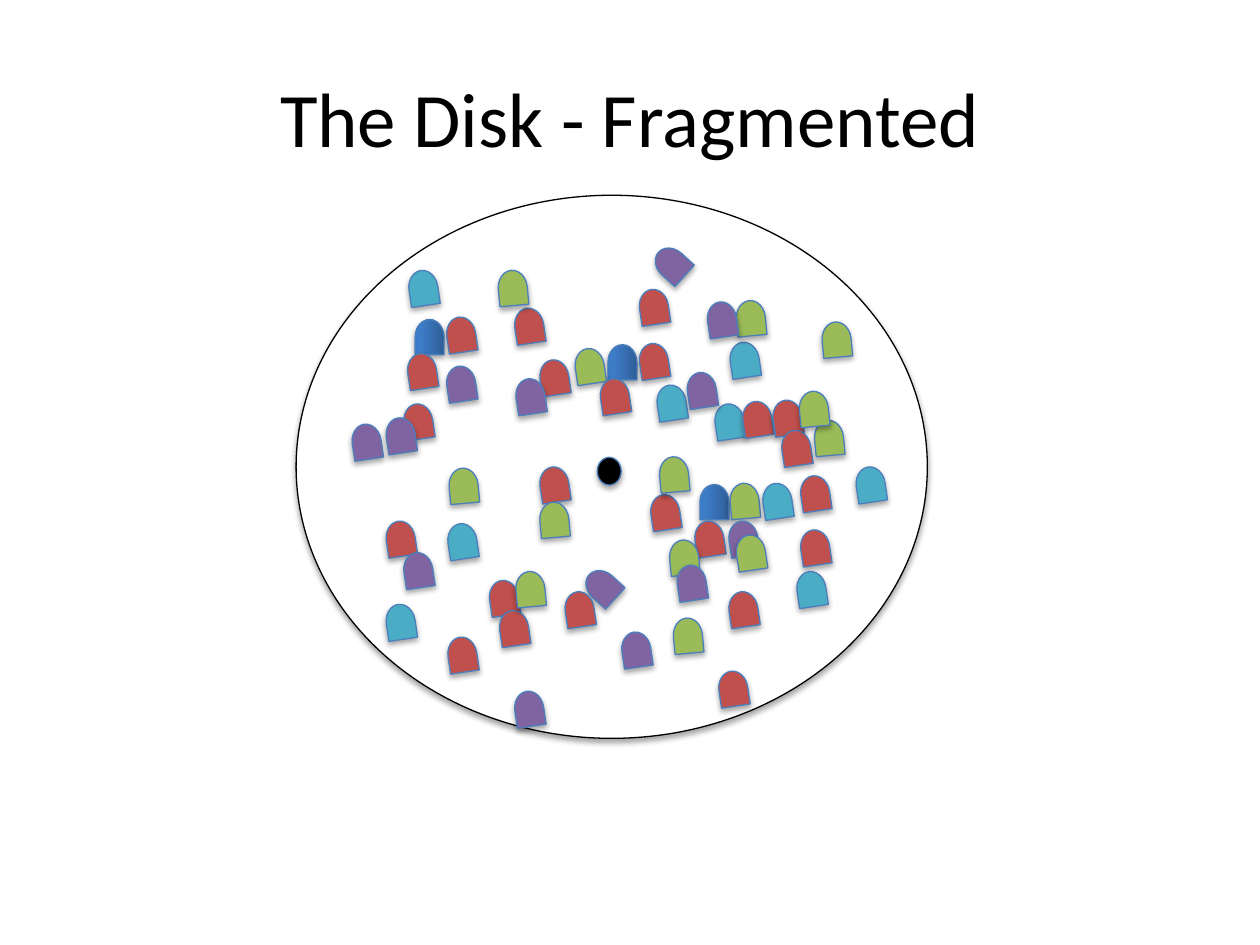
from lxml import etree
from pptx import Presentation
from pptx.dml.color import RGBColor
from pptx.enum.shapes import MSO_SHAPE
from pptx.enum.text import MSO_ANCHOR, PP_ALIGN
from pptx.oxml.ns import qn
from pptx.util import Inches, Pt

OVAL = MSO_SHAPE.OVAL
DELAY = MSO_SHAPE.FLOWCHART_DELAY
MIDDLE = MSO_ANCHOR.MIDDLE
CENTER = PP_ALIGN.CENTER

COLS, ROWS = 100, 75
CELL = Inches(0.1)
BLOCK_W, BLOCK_H = 2.8, 2.3
COLORS = {
    "white": "FFFFFF", "black": "000000", "edge": "4B7EBC",
    "red": "C0504D", "green": "9BBB59", "purple": "8064A2", "teal": "4BACC6",
}
BLUE_STOPS = {0: "2F5F99", 80: "3D7CC7", 100: "3A7CCB"}
UPRIGHT, LEAN, TILT, TURNED = 270, 264.7, 261.5, 222.3

BLOCKS = [
    ("blue", UPRIGHT, [(48, 27.6), (55.3, 38.7)]),
    ("green", TILT, [(45.4, 27.9)]),
    ("green", LEAN, [(57.7, 38.6)]),
    ("purple", TURNED, [(51.9, 19.8)]),
    ("purple", TILT, [(49.1, 50.4)]),
    ("teal", TILT, [(56.5, 32.3)]),
    ("red", TILT, [(35.3, 50.8), (38.6, 46.3), (39.4, 48.7), (40.6, 24.7),
                   (50.5, 23.2), (42.6, 37.3), (57.6, 47.2)]),
    ("green", LEAN, [(53.2, 49.3), (35.4, 37.4)]),
    ("teal", TILT, [(60.3, 38.6)]),
    ("red", TILT, [(31.8, 32.3), (42.6, 28.8), (47.4, 30.3), (54.9, 41.6),
                   (50.5, 27.5), (30.4, 41.6)]),
    ("green", LEAN, [(42.6, 40.1), (52.9, 43.1), (40.7, 45.6), (39.3, 21.7)]),
    ("teal", TILT, [(30.4, 48.2), (35.3, 41.8), (51.9, 30.8)]),
    ("purple", TILT, [(40.6, 55.1), (57.6, 41.6), (40.7, 30.3), (30.4, 33.4),
                      (31.8, 44.1)]),
    ("red", TILT, [(58.7, 32.1), (61.1, 32), (61.8, 34.4)]),
    ("green", LEAN, [(65, 25.8), (64.4, 33.6), (63.2, 31.3)]),
    ("teal", TILT, [(57.7, 27.4)]),
    ("purple", TILT, [(54.3, 29.8)]),
    ("green", TILT, [(58.2, 42.7)]),
    ("purple", TURNED, [(46.4, 45.4)]),
    ("red", TILT, [(51.4, 39.5), (63.3, 38), (44.6, 47.2), (56.8, 53.5),
                   (63.3, 42.3)]),
    ("green", LEAN, [(52.1, 36.5)]),
    ("teal", TILT, [(63, 45.6), (67.7, 37.3)]),
    ("purple", TILT, [(53.5, 45.1), (35.2, 29.3), (27.7, 33.9)]),
    ("green", LEAN, [(58.2, 24.1)]),
    ("purple", TILT, [(55.9, 24.2)]),
    ("teal", TILT, [(32.2, 21.7)]),
    ("blue", UPRIGHT, [(32.7, 25.6)]),
    ("red", TILT, [(32.1, 28.3), (35.2, 25.4)]),
]


def rgb(name):
    return RGBColor.from_string(COLORS[name])


def grid(*lengths):
    return [int(n * CELL) for n in lengths]


def add_color(parent, value):
    return etree.SubElement(parent, qn("a:srgbClr"), val=value)


def add_shadow(sp):
    sp.shadow.inherit = False
    effects = sp._element.spPr.find(qn("a:effectLst"))
    outer = etree.SubElement(effects, qn("a:outerShdw"), blurRad="40000",
                             dist="23000", dir="5400000", rotWithShape="0")
    color = add_color(outer, COLORS["black"])
    etree.SubElement(color, qn("a:alpha"), val="35000")


def fill_blue(sp):
    sp.fill.gradient()
    grad = sp._element.spPr.find(qn("a:gradFill"))
    for child in list(grad):
        grad.remove(child)
    stops = etree.SubElement(grad, qn("a:gsLst"))
    for share, value in BLUE_STOPS.items():
        add_color(etree.SubElement(stops, qn("a:gs"), pos=str(share * 1000)), value)
    etree.SubElement(grad, qn("a:lin"), ang="16200000", scaled="0")


def add_piece(s, kind, box, fill, line="edge", rotation=0):
    sp = s.shapes.add_shape(kind, *grid(*box))
    sp.rotation = rotation
    if fill == "blue":
        fill_blue(sp)
    else:
        sp.fill.solid()
        sp.fill.fore_color.rgb = rgb(fill)
    sp.line.color.rgb = rgb(line)
    sp.line.width = Pt(0.75)
    add_shadow(sp)


def add_title(s, text):
    sp = s.shapes.title
    box = zip(("left", "top", "width", "height"), grid(5, 3, 90, 12.5))
    for name, value in box:
        setattr(sp, name, value)
    tf = sp.text_frame
    tf.vertical_anchor = MIDDLE
    p = tf.paragraphs[0]
    p.alignment = CENTER
    r = p.add_run()
    r.text = text
    for name, value in {"name": "Calibri", "size": Pt(44)}.items():
        setattr(r.font, name, value)
    r.font.color.rgb = rgb("black")


def main():
    prs = Presentation()
    prs.slide_width, prs.slide_height = grid(COLS, ROWS)
    s = prs.slides.add_slide(prs.slide_layouts[5])
    add_title(s, "The Disk - Fragmented")
    add_piece(s, OVAL, (23.5, 15.5, 50.1, 43.1), "white", "black")
    add_piece(s, OVAL, (47.4, 36.3, 1.9, 2.2), "black")
    for color, rotation, places in BLOCKS:
        for col, row in places:
            add_piece(s, DELAY, (col, row, BLOCK_W, BLOCK_H), color, rotation=rotation)
    prs.save("out.pptx")


if __name__ == "__main__":
    main()
